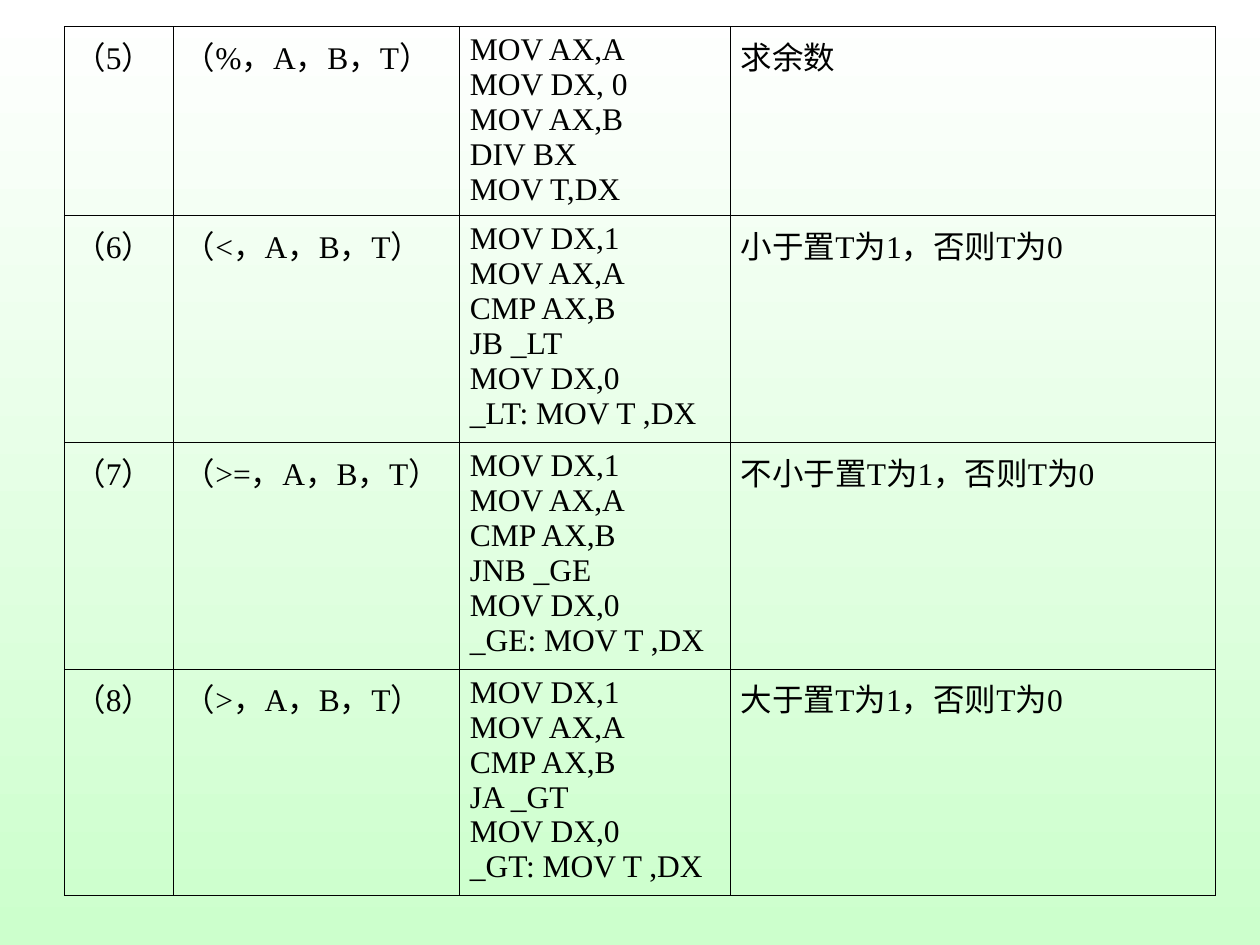
"""Build a slide listing the target code of quadruples 5 to 8."""
from lxml import etree
from pptx import Presentation
from pptx.dml.color import RGBColor
from pptx.enum.text import PP_ALIGN
from pptx.oxml.ns import qn
from pptx.util import Inches, Pt

BLACK = RGBColor(0x00, 0x00, 0x00)
WHITE = RGBColor(0xFF, 0xFF, 0xFF)
PALE_GREEN = RGBColor(0xCC, 0xFF, 0xCC)
JUSTIFY = PP_ALIGN.JUSTIFY
BLANK_LAYOUT = 6
COLUMN_WIDTHS = (0.87, 2.27, 2.15, 3.85)
ROW_HEIGHTS = (1.5, 1.8, 1.8, 1.8)


class SlideWriter:
    """Hold the text style and the current slide."""

    font_name = "Times New Roman"
    font_size = Pt(18)
    text_color = BLACK
    border_width = Pt(0.45)

    def __init__(self, slide):
        self.slide = slide

    def background(self, top_color, bottom_color):
        """Fill the slide with a vertical gradient."""
        fill = self.slide.background.fill
        fill.gradient()
        fill.gradient_angle = 270
        for stop, color in zip(fill.gradient_stops, (top_color, bottom_color)):
            stop.color.rgb = color

    def borders(self, cell):
        """Draw a thin line on each side of a cell."""
        properties = cell._tc.get_or_add_tcPr()
        for side in ("a:lnL", "a:lnR", "a:lnT", "a:lnB"):
            line = etree.SubElement(properties, qn(side), w=str(self.border_width))
            solid = etree.SubElement(line, qn("a:solidFill"))
            etree.SubElement(solid, qn("a:srgbClr"), val=str(self.text_color))

    def cell(self, cell, lines):
        """Write one justified paragraph per line into a bordered cell."""
        self.borders(cell)
        cell.fill.background()
        cell.margin_left = cell.margin_right = Inches(0.08)
        cell.margin_top = cell.margin_bottom = Inches(0.05)
        frame = cell.text_frame
        for index, text in enumerate(lines):
            paragraph = frame.add_paragraph() if index else frame.paragraphs[0]
            paragraph.alignment = JUSTIFY
            run = paragraph.add_run()
            run.text = text
            run.font.name = self.font_name
            run.font.size = self.font_size
            run.font.color.rgb = self.text_color

    def table(self, left, top, widths, heights, rows):
        """Add a plain table whose cells are lists of lines."""
        table = self.slide.shapes.add_table(
            len(heights), len(widths), Inches(left), Inches(top),
            Inches(sum(widths)), Inches(sum(heights))).table
        table.first_row = table.horz_banding = False
        for column, width in zip(table.columns, widths):
            column.width = Inches(width)
        for row, height, contents in zip(table.rows, heights, rows):
            row.height = Inches(height)
            for cell, lines in zip(row.cells, contents):
                self.cell(cell, lines)


def instruction_row(number, operator, code, meaning):
    """Return the four cells of one quadruple."""
    return [f"（{number}）"], [f"（{operator}，A，B，T）"], code, [meaning]


def comparison_row(number, operator, jump, label, relation):
    """Return the four cells of a comparing quadruple."""
    code = ["MOV DX,1", "MOV AX,A", "CMP AX,B", f"{jump} {label}",
            "MOV DX,0", f"{label}: MOV T ,DX"]
    return instruction_row(number, operator, code, f"{relation}置T为1，否则T为0")


def main():
    """Build and save the slide."""
    deck = Presentation()
    deck.slide_width, deck.slide_height = Inches(10), Inches(7.5)
    writer = SlideWriter(deck.slides.add_slide(deck.slide_layouts[BLANK_LAYOUT]))
    writer.background(WHITE, PALE_GREEN)
    remainder_code = ["MOV AX,A", "MOV DX, 0", "MOV AX,B", "DIV BX", "MOV T,DX"]
    quadruples = [
        instruction_row(5, "%", remainder_code, "求余数"),
        comparison_row(6, "<", "JB", "_LT", "小于"),
        comparison_row(7, ">=", "JNB", "_GE", "不小于"),
        comparison_row(8, ">", "JA", "_GT", "大于"),
    ]
    writer.table(0.51, 0.21, COLUMN_WIDTHS, ROW_HEIGHTS, quadruples)
    deck.save("out.pptx")


if __name__ == "__main__":
    main()
